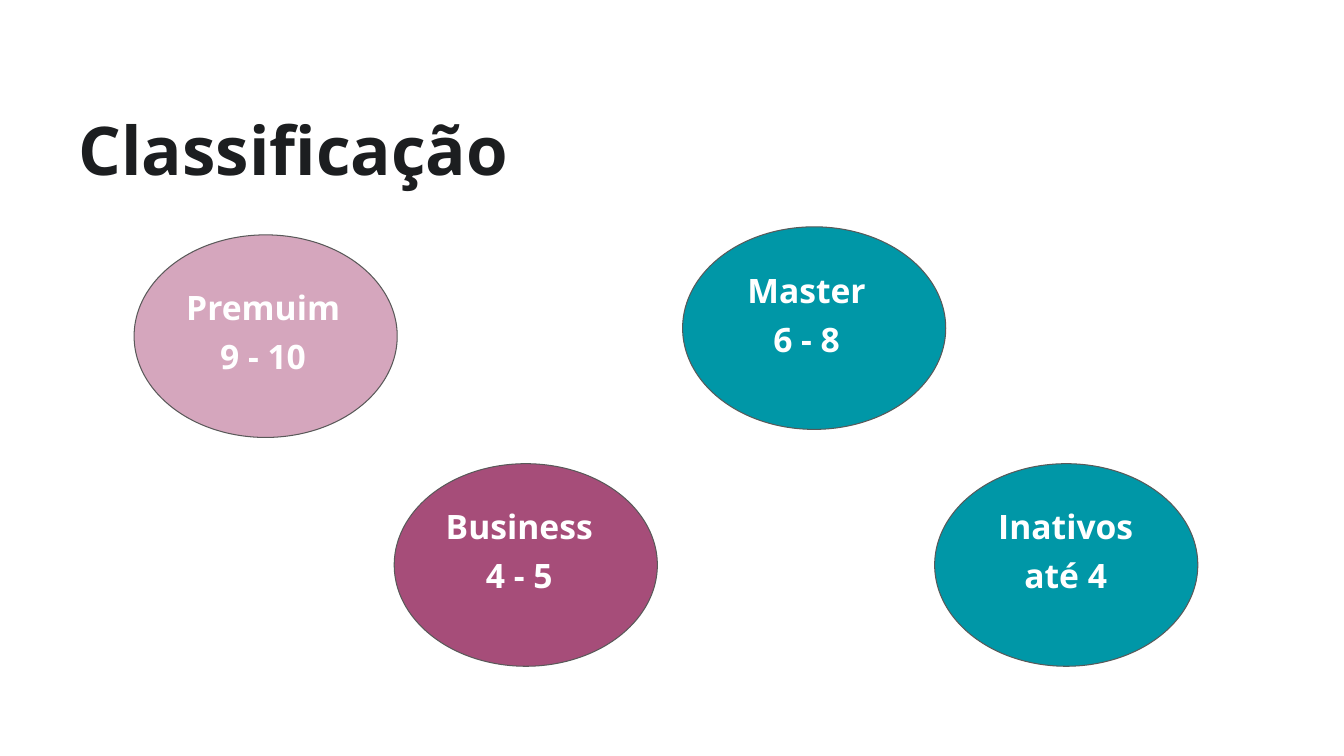
from dataclasses import dataclass

from pptx import Presentation
from pptx.dml.color import RGBColor
from pptx.enum.shapes import MSO_SHAPE
from pptx.enum.text import MSO_ANCHOR, PP_ALIGN
from pptx.slide import Slide
from pptx.text.text import TextFrame
from pptx.util import Emu, Pt

PX = 9144  # EMU per px, at 100 px to the inch

PINK = RGBColor(0xD5, 0xA6, 0xBD)
TEAL = RGBColor(0x00, 0x97, 0xA7)
PLUM = RGBColor(0xA6, 0x4D, 0x79)
OUTLINE = RGBColor(0x59, 0x59, 0x59)
INK = RGBColor(0x1C, 0x1E, 0x20)
WHITE = RGBColor(0xFF, 0xFF, 0xFF)

OVAL_SIZE = (261, 201)
LABEL_SIZE = (280, 149)


@dataclass(frozen=True)
class Tier:
    name: str
    score: str
    fill: RGBColor
    oval_at: tuple[int, int]
    label_at: tuple[int, int]


TIERS = [
    Tier("Premuim", "9 - 10", PINK, (133, 233), (121, 285)),
    Tier("Inativos", "até 4", TEAL, (927, 460), (917, 502)),
    Tier("Business", "4 - 5", PLUM, (391, 460), (375, 502)),
    Tier("Master", "6 - 8", TEAL, (677, 225), (660, 268)),
]


def px(*lengths: int) -> list[Emu]:
    return [Emu(length * PX) for length in lengths]


def add_text(slide: Slide, at: tuple[int, int], size: tuple[int, int],
             lines: list[str], points: int, color: RGBColor) -> TextFrame:
    """Add a bold text box without margins, one paragraph per line."""
    frame = slide.shapes.add_textbox(*px(*at, *size)).text_frame
    frame.word_wrap = True
    frame.margin_left = frame.margin_top = 0
    frame.margin_right = frame.margin_bottom = 0
    frame.text = "\n".join(lines)
    for paragraph in frame.paragraphs:
        paragraph.font.name = "Open Sans"
        paragraph.font.size = Pt(points)
        paragraph.font.bold = True
        paragraph.font.color.rgb = color
    return frame


def add_tier(slide: Slide, tier: Tier) -> None:
    oval = slide.shapes.add_shape(MSO_SHAPE.OVAL, *px(*tier.oval_at, *OVAL_SIZE))
    oval.shadow.inherit = False
    oval.fill.solid()
    oval.fill.fore_color.rgb = tier.fill
    oval.line.color.rgb = OUTLINE
    oval.line.width = Pt(0.75)

    label = add_text(slide, tier.label_at, LABEL_SIZE,
                     [tier.name, tier.score], 24, WHITE)
    for paragraph in label.paragraphs:
        paragraph.alignment = PP_ALIGN.CENTER
    label.paragraphs[1].space_before = Pt(6)


def main() -> None:
    presentation = Presentation()
    presentation.slide_width, presentation.slide_height = px(1333, 750)
    slide = presentation.slides.add_slide(presentation.slide_layouts[6])

    title = add_text(slide, (78, 38), (1234, 149), ["Classificação"], 48, INK)
    title.vertical_anchor = MSO_ANCHOR.BOTTOM
    for tier in TIERS:
        add_tier(slide, tier)

    presentation.save("out.pptx")


if __name__ == "__main__":
    main()
